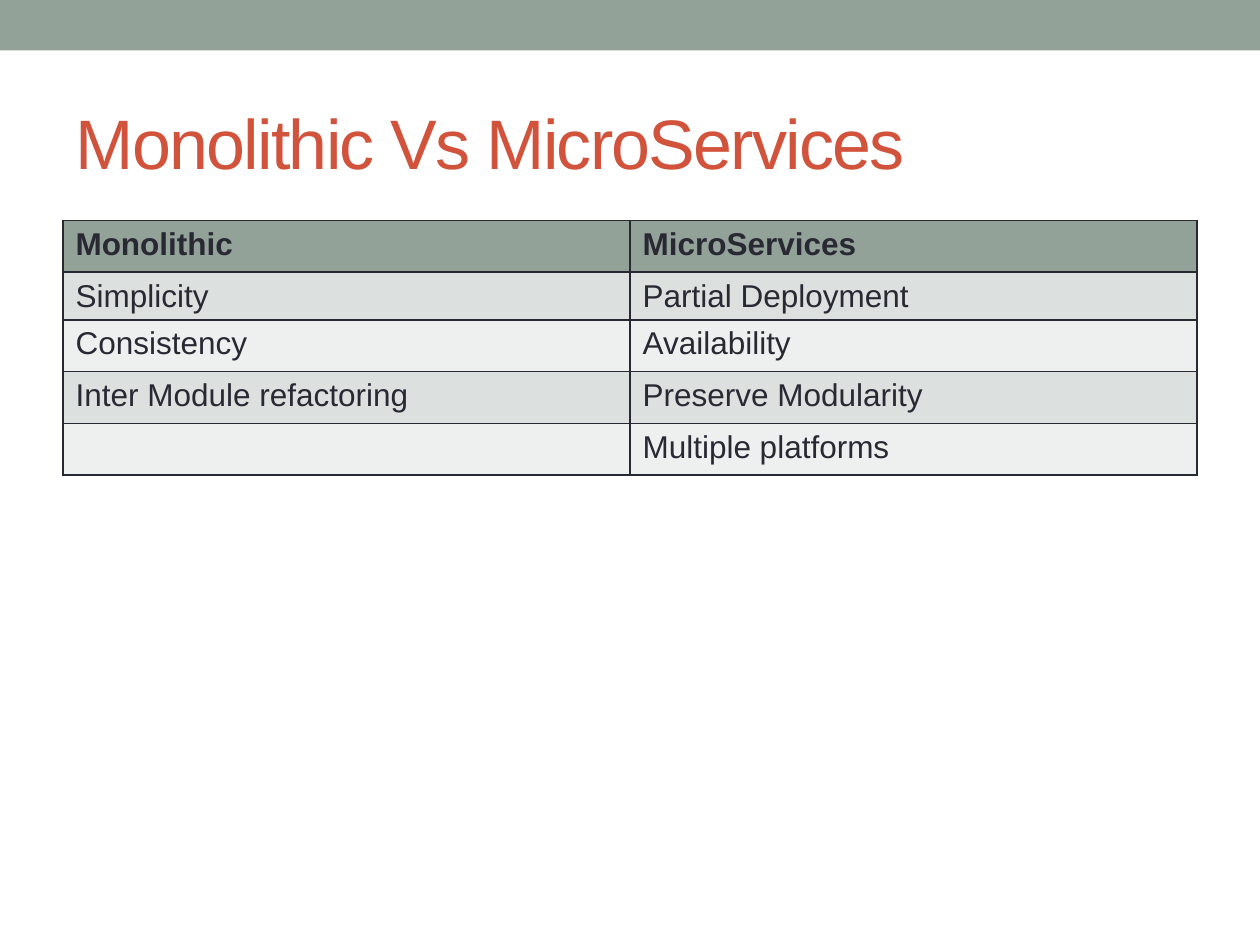
from lxml import etree
from pptx import Presentation
from pptx.dml.color import RGBColor
from pptx.enum.shapes import MSO_SHAPE
from pptx.enum.text import MSO_ANCHOR, PP_ALIGN
from pptx.oxml.ns import qn
from pptx.util import Inches, Pt

RECT = MSO_SHAPE.RECTANGLE
LEFT, MIDDLE = PP_ALIGN.LEFT, MSO_ANCHOR.MIDDLE
FONT = "Arial"
SAGE, RUST, INK = "93A299", "D2533C", "292934"
BANDS = ["DCE0DE", "EEF0EF"]
TITLE_ONLY = 5
ROWS = [
    ("Monolithic", "MicroServices"),
    ("Simplicity", "Partial Deployment"),
    ("Consistency", "Availability"),
    ("Inter Module refactoring", "Preserve Modularity"),
    ("", "Multiple platforms"),
]
HEIGHTS = [0.41, 0.38, 0.41, 0.41, 0.41]


def paint(fill, color):
    fill.solid()
    fill.fore_color.rgb = RGBColor.from_string(color)


def style(font, color, **values):
    font.color.rgb = RGBColor.from_string(color)
    for name, value in {"name": FONT, **values}.items():
        setattr(font, name, value)


def add_band(slide, box):
    band = slide.shapes.add_shape(RECT, *map(Inches, box))
    band.shadow.inherit = False
    paint(band.fill, SAGE)
    band.line.fill.background()


def set_title(slide, box, text):
    title = slide.shapes.title
    title.left, title.top, title.width, title.height = map(Inches, box)
    frame = title.text_frame
    frame.text = text
    frame.vertical_anchor = MIDDLE
    para = frame.paragraphs[0]
    para.alignment = LEFT
    run = para.runs[0]
    style(run.font, RUST, size=Pt(40))
    # Tighten the letters by one point
    run.font._element.set("spc", "-100")


def add_border(cell, color, width):
    props = cell._tc.get_or_add_tcPr()
    for i, side in enumerate(("lnL", "lnR", "lnT", "lnB")):
        line = etree.Element(qn(f"a:{side}"), w=str(Pt(width)))
        fill = etree.SubElement(line, qn("a:solidFill"))
        etree.SubElement(fill, qn("a:srgbClr"), val=color)
        props.insert(i, line)


def add_grid(slide, box, rows, heights):
    cols = len(rows[0])
    frame = slide.shapes.add_table(len(rows), cols, *map(Inches, box))
    table = frame.table
    for col in table.columns:
        col.width = Inches(box[2] / cols)
    for r, (texts, height) in enumerate(zip(rows, heights)):
        table.rows[r].height = Inches(height)
        head = r == 0
        for c, text in enumerate(texts):
            cell = table.cell(r, c)
            paint(cell.fill, SAGE if head else BANDS[(r - 1) % 2])
            add_border(cell, INK, 1)
            cell.text = text
            style(cell.text_frame.paragraphs[0].font, INK, size=Pt(18), bold=head)
            for run in cell.text_frame.paragraphs[0].runs:
                style(run.font, INK, size=Pt(18), bold=head)


def main():
    deck = Presentation()
    deck.slide_width, deck.slide_height = Inches(10), Inches(7.5)
    slide = deck.slides.add_slide(deck.slide_layouts[TITLE_ONLY])
    paint(slide.background.fill, "FFFFFF")
    # Top band, title and comparison table
    add_band(slide, (0, 0, 10, 0.4))
    set_title(slide, (0.5, 0.58, 9, 1.08), "Monolithic Vs MicroServices")
    add_grid(slide, (0.5, 1.75, 9, sum(HEIGHTS)), ROWS, HEIGHTS)
    deck.save("out.pptx")


if __name__ == "__main__":
    main()
